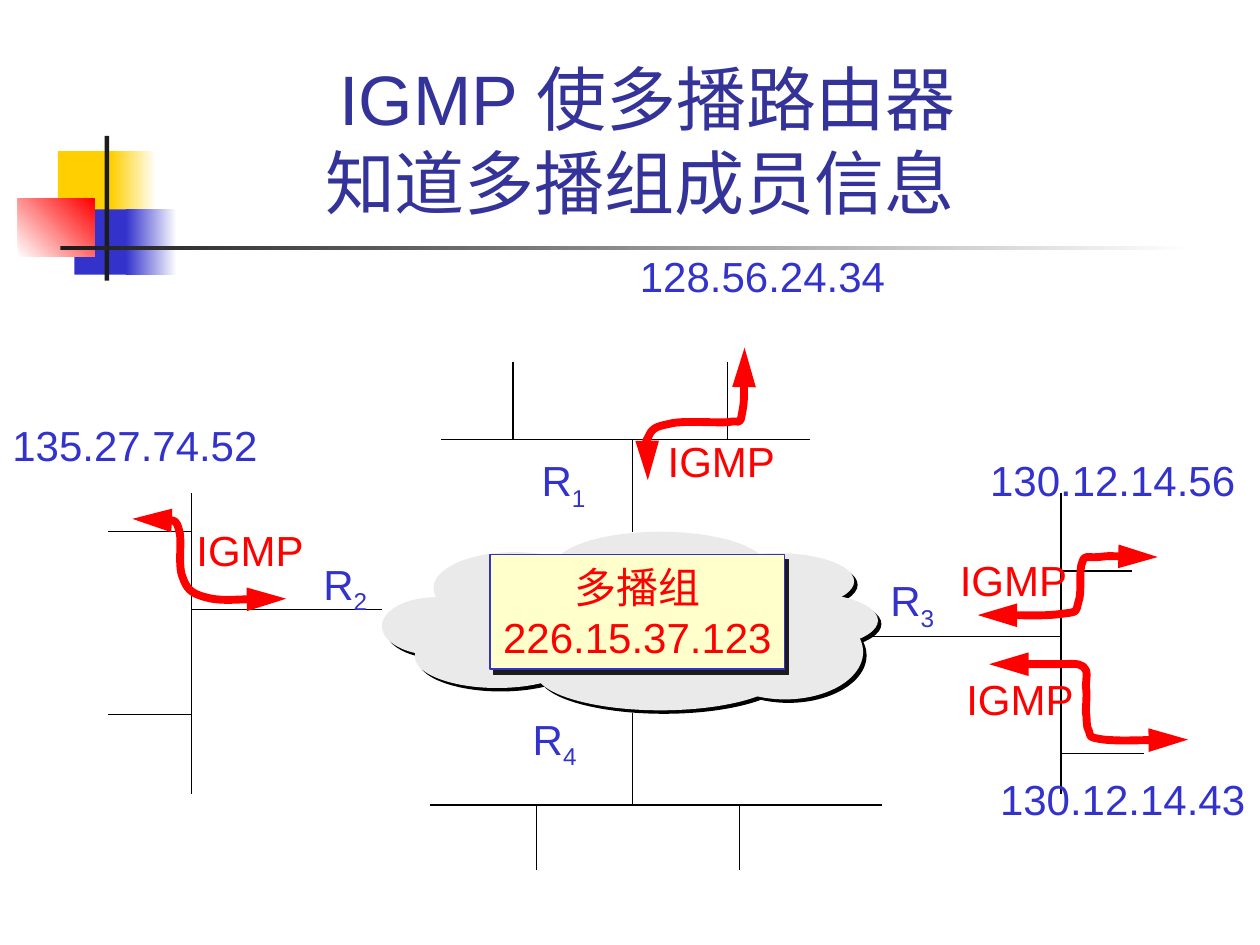
from lxml import etree
from pptx import Presentation
from pptx.dml.color import RGBColor
from pptx.enum.shapes import MSO_CONNECTOR, MSO_SHAPE
from pptx.enum.text import MSO_ANCHOR, MSO_AUTO_SIZE, PP_ALIGN
from pptx.oxml import parse_xml
from pptx.oxml.ns import nsdecls, qn
from pptx.util import Cm, Pt

BLACK = RGBColor(0x00, 0x00, 0x00)
WHITE = RGBColor(0xFF, 0xFF, 0xFF)
DARK = RGBColor(0x1C, 0x1C, 0x1C)
YELLOW = RGBColor(0xFF, 0xCF, 0x01)
CREAM = RGBColor(0xFF, 0xFF, 0xCC)
GRAY = RGBColor(0xEA, 0xEA, 0xEA)
BLUE = RGBColor(0x33, 0x33, 0xCC)
NAVY = RGBColor(0x33, 0x33, 0x99)
RED = RGBColor(0xFF, 0x00, 0x00)

TITLE_FONT = {"name": "Arial", "size": Pt(40)}
LABEL_FONT = {"name": "Arial", "size": Pt(24)}

prs = Presentation()
prs.slide_width, prs.slide_height = Cm(25.4), Cm(19.05)
s = prs.slides.add_slide(prs.slide_layouts[6])


def add_shape(shapes, kind, box, colors, angle=0):
    """Add a borderless shape, solid for one colour and graded for two."""
    sp = shapes.add_shape(kind, *map(Cm, box))
    sp.shadow.inherit = False
    sp.line.fill.background()
    if len(colors) == 1:
        sp.fill.solid()
        sp.fill.fore_color.rgb = colors[0]
    else:
        sp.fill.gradient()
        sp.fill.gradient_angle = angle
        for stop, color in zip(sp.fill.gradient_stops, colors):
            stop.color.rgb = color
    return sp


def write(sp, lines, color, font=LABEL_FONT, align=PP_ALIGN.LEFT):
    """Write one paragraph per line; a (base, subscript) pair makes two runs."""
    tf = sp.text_frame
    tf.word_wrap = False
    tf.auto_size = MSO_AUTO_SIZE.SHAPE_TO_FIT_TEXT
    for i, line in enumerate(lines):
        p = tf.add_paragraph() if i else tf.paragraphs[0]
        p.alignment = align
        for j, part in enumerate(line if isinstance(line, tuple) else (line,)):
            r = p.add_run()
            r.text = part
            for key, value in font.items():
                setattr(r.font, key, value)
            r.font.color.rgb = color
            if j:
                r._r.get_or_add_rPr().set("baseline", "-25000")


# Corner decoration and title rule
for box, colors, angle in [
    ((1.17, 3.05, 1.22, 1.32), [YELLOW], 0),
    ((2.24, 3.05, 0.91, 1.32), [YELLOW, WHITE], 0),
    ((1.5, 4.22, 1.17, 1.32), [BLUE], 0),
    ((2.54, 4.22, 1.02, 1.32), [BLUE, WHITE], 0),
    ((0.36, 4.01, 1.55, 1.17), [WHITE, RED], 45),
    ((2.11, 2.74, 0.09, 2.92), [DARK], 0),
    ((1.22, 4.95, 22.86, 0.09), [DARK, WHITE], 0),
]:
    add_shape(s.shapes, MSO_SHAPE.RECTANGLE, box, colors, angle)

# Title
sp = s.shapes.add_textbox(Cm(3.2), Cm(0.58), Cm(19.71), Cm(4.06))
write(sp, ["IGMP 使多播路由器"], NAVY, TITLE_FONT, PP_ALIGN.CENTER)
tf = sp.text_frame
tf.word_wrap, tf.auto_size = True, MSO_AUTO_SIZE.NONE
tf.vertical_anchor = MSO_ANCHOR.BOTTOM
p = tf.paragraphs[0]
p.add_line_break()
r = p.add_run()
r.text = "知道多播组成员信息 "
for key, value in TITLE_FONT.items():
    setattr(r.font, key, value)
r.font.color.rgb = NAVY

# Networks: bus, host stubs and the link to the cloud
for x1, y1, x2, y2 in [
    # top
    (8.89, 8.86, 16.33, 8.86), (10.34, 8.86, 10.34, 7.29),
    (14.66, 8.86, 14.66, 7.29), (12.75, 8.86, 12.75, 10.72),
    # bottom
    (8.66, 16.23, 17.78, 16.23), (10.82, 17.53, 10.82, 16.23),
    (14.91, 17.53, 14.91, 16.23), (12.75, 14.38, 12.75, 16.23),
    # left
    (3.86, 16, 3.86, 9.93), (2.18, 10.72, 3.86, 10.72),
    (2.18, 14.4, 3.86, 14.4), (3.86, 12.29, 7.7, 12.29),
    # right
    (21.39, 9.93, 21.39, 16), (21.39, 11.51, 22.81, 11.51),
    (21.39, 15.19, 23.06, 15.19), (17.3, 12.83, 21.39, 12.83),
]:
    line = s.shapes.add_connector(MSO_CONNECTOR.STRAIGHT, Cm(x1), Cm(y1), Cm(x2), Cm(y2))
    line.line.width = Pt(0.75)
    line.line.color.rgb = BLACK
    etree.SubElement(line._element.spPr, qn("a:effectLst"))

# Cloud: black puffs shifted behind gray ones
puffs = [
    (11.15, 10.72, 4.32, 1.45), (8.74, 11.13, 3.28, 1.45), (7.7, 12.04, 2.18, 1.17),
    (8.36, 12.6, 3.33, 1.27), (10.8, 12.8, 5.03, 1.52), (14.07, 11.15, 3.15, 1.14),
    (14.55, 11.94, 3.15, 1.14), (14.25, 12.19, 3.15, 1.91), (9.53, 11.61, 6.5, 1.91),
]
cloud = s.shapes.add_group_shape()
for shift, color in [(0.07, BLACK), (0, GRAY)]:
    for x, y, w, h in puffs:
        add_shape(cloud.shapes, MSO_SHAPE.OVAL, (x + shift, y + shift, w, h), [color])

# Multicast group box with a hard shadow
sp = add_shape(s.shapes, MSO_SHAPE.RECTANGLE, (9.88, 11.18, 5.94, 2.31), [CREAM])
sp.line.color.rgb = BLUE
sp.line.width = Pt(0.75)
write(sp, ["多播组", "226.15.37.123"], RED, align=PP_ALIGN.CENTER)
shadow = parse_xml(
    f'<a:outerShdw {nsdecls("a")} blurRad="0" dist="{Pt(3.6)}" dir="3360000" algn="ctr" '
    f'rotWithShape="0"><a:srgbClr val="{DARK}"/></a:outerShdw>')
sp._element.spPr.find(qn("a:effectLst")).append(shadow)

# IGMP exchanges: a start point, then three points for each Bézier segment
for start, *points in [
    [(2.67, 10.46),
     (2.9, 10.46), (3.15, 10.44), (3.3, 10.46), (3.48, 10.49), (3.56, 10.49), (3.61, 10.69),
     (3.68, 10.87), (3.58, 11.4), (3.68, 11.63), (3.76, 11.86), (3.84, 11.96), (4.14, 12.04),
     (4.42, 12.12), (5.18, 12.07), (5.46, 12.07), (5.72, 12.07), (5.72, 12.07), (5.77, 12.07)],
    [(15.01, 7.01),
     (15.01, 7.21), (15.01, 8.08), (14.96, 8.33), (14.91, 8.59), (14.94, 8.46), (14.68, 8.51),
     (14.48, 8.53), (13.84, 8.48), (13.56, 8.53), (13.31, 8.59), (13.16, 8.59), (13.08, 8.79),
     (12.98, 8.97), (13.06, 9.53), (13.06, 9.68)],
    [(23.95, 14.91),
     (23.65, 14.91), (22.58, 14.94), (22.25, 14.91), (21.89, 14.86), (22, 14.83), (21.95, 14.73),
     (21.89, 14.66), (21.92, 14.48), (21.89, 14.35), (21.89, 14.2), (21.92, 14), (21.89, 13.84),
     (21.89, 13.72), (21.95, 13.51), (21.84, 13.44), (21.74, 13.36), (21.59, 13.39), (21.26, 13.39),
     (20.96, 13.39), (20.22, 13.39), (19.94, 13.39)],
    [(23.34, 11.23),
     (23.14, 11.23), (22.4, 11.2), (22.15, 11.23), (21.89, 11.25), (21.87, 11.18), (21.82, 11.33),
     (21.74, 11.48), (21.82, 11.96), (21.74, 12.14), (21.69, 12.32), (21.74, 12.34), (21.44, 12.37),
     (21.08, 12.42), (20.07, 12.4), (19.71, 12.4)],
]:
    builder = s.shapes.build_freeform(Cm(start[0]), Cm(start[1]))
    builder.add_line_segments([(Cm(x), Cm(y)) for x, y in points], close=False)
    sp = builder.convert_to_shape()
    sp.shadow.inherit = False
    sp.fill.background()
    sp.line.color.rgb = RED
    sp.line.width = Pt(4.5)
    for end in ("a:headEnd", "a:tailEnd"):
        etree.SubElement(sp.line._get_or_add_ln(), qn(end), type="triangle", w="med", len="lg")
    # Turn every three straight segments into one cubic curve
    segments = list(sp._element.iter(qn("a:lnTo")))
    for i in range(0, len(segments), 3):
        curve = etree.Element(qn("a:cubicBezTo"))
        segments[i].addprevious(curve)
        for segment in segments[i:i + 3]:
            curve.append(segment[0])
            segment.getparent().remove(segment)

# Host addresses, IGMP labels and router names
for text, x, y, w, color in [
    ("128.56.24.34", 12.65, 4.93, 5.46, BLUE),
    ("135.27.74.52", 0, 8.33, 5.46, BLUE),
    ("130.12.14.56", 19.71, 9.04, 5.46, BLUE),
    ("130.12.14.43", 19.91, 15.47, 5.46, BLUE),
    ("IGMP", 3.71, 10.44, 2.67, RED),
    ("IGMP", 19.1, 11.05, 2.67, RED),
    ("IGMP", 13.21, 8.66, 2.67, RED),
    ("IGMP", 19.23, 13.46, 2.67, RED),
    (("R", "1"), 10.67, 9.04, 1.45, BLUE),
    (("R", "2"), 6.27, 11.13, 1.45, BLUE),
    (("R", "3"), 17.7, 11.46, 1.45, BLUE),
    (("R", "4"), 10.49, 14.25, 1.45, BLUE),
]:
    write(s.shapes.add_textbox(Cm(x), Cm(y), Cm(w), Cm(1.27)), [text], color)

prs.save("out.pptx")
